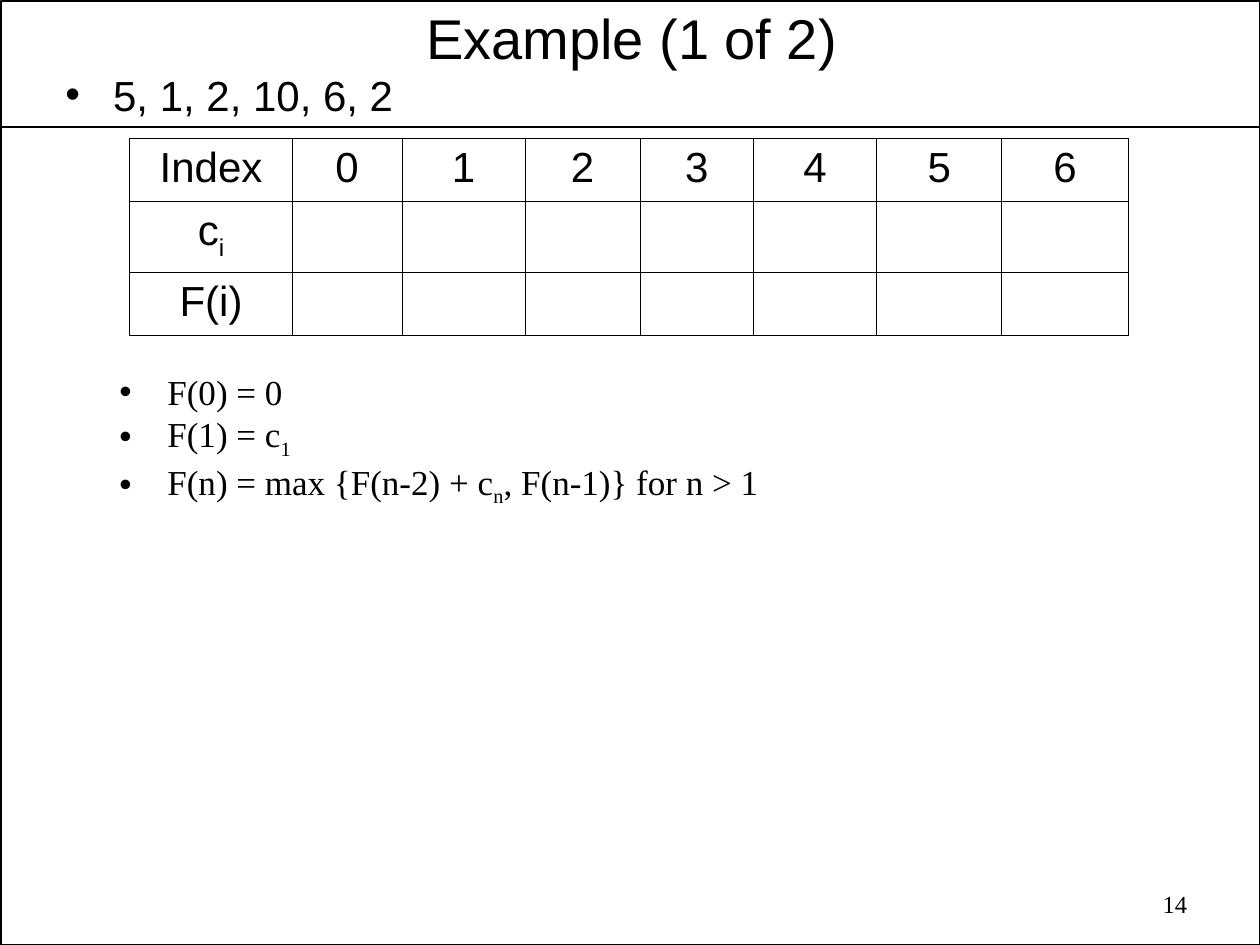
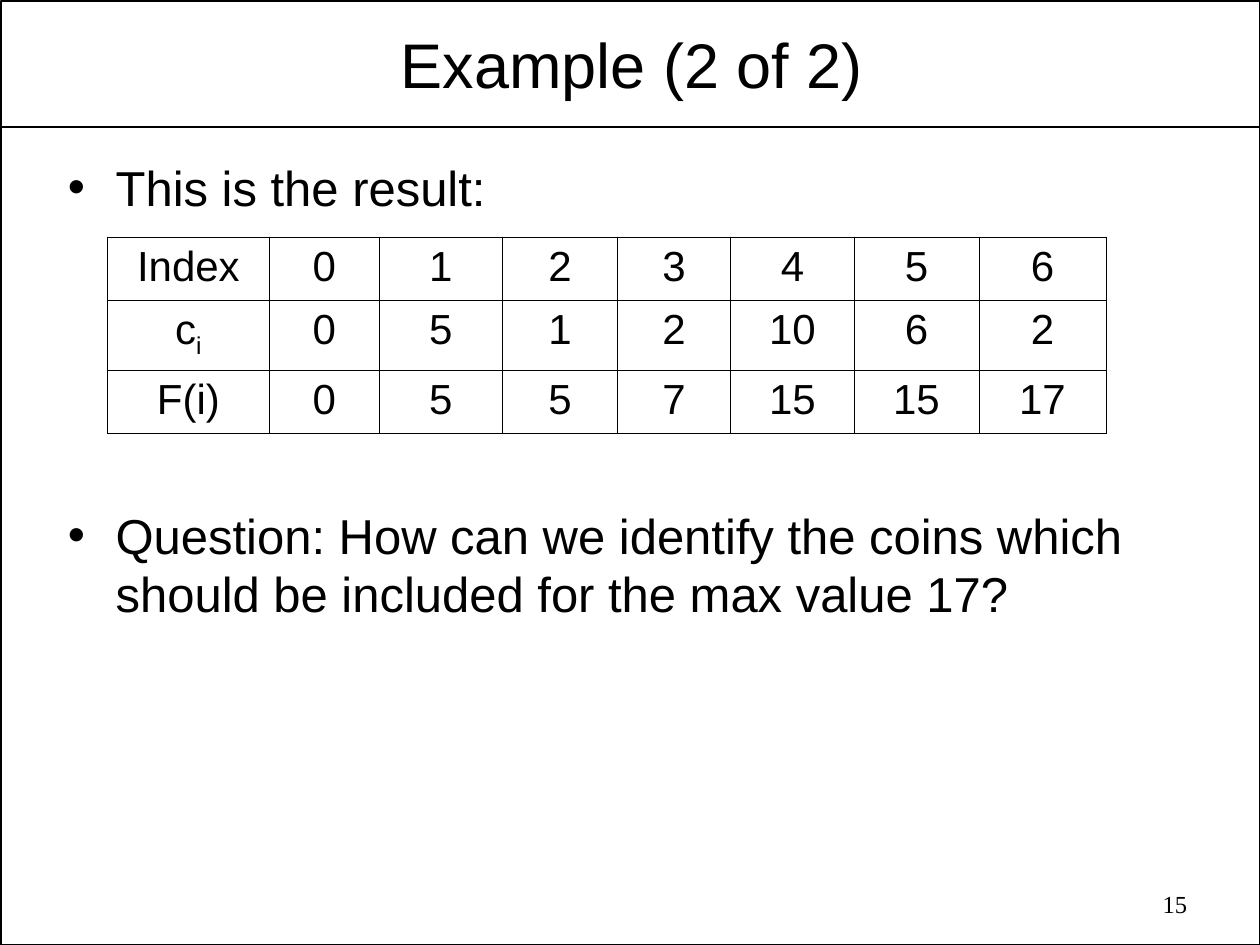
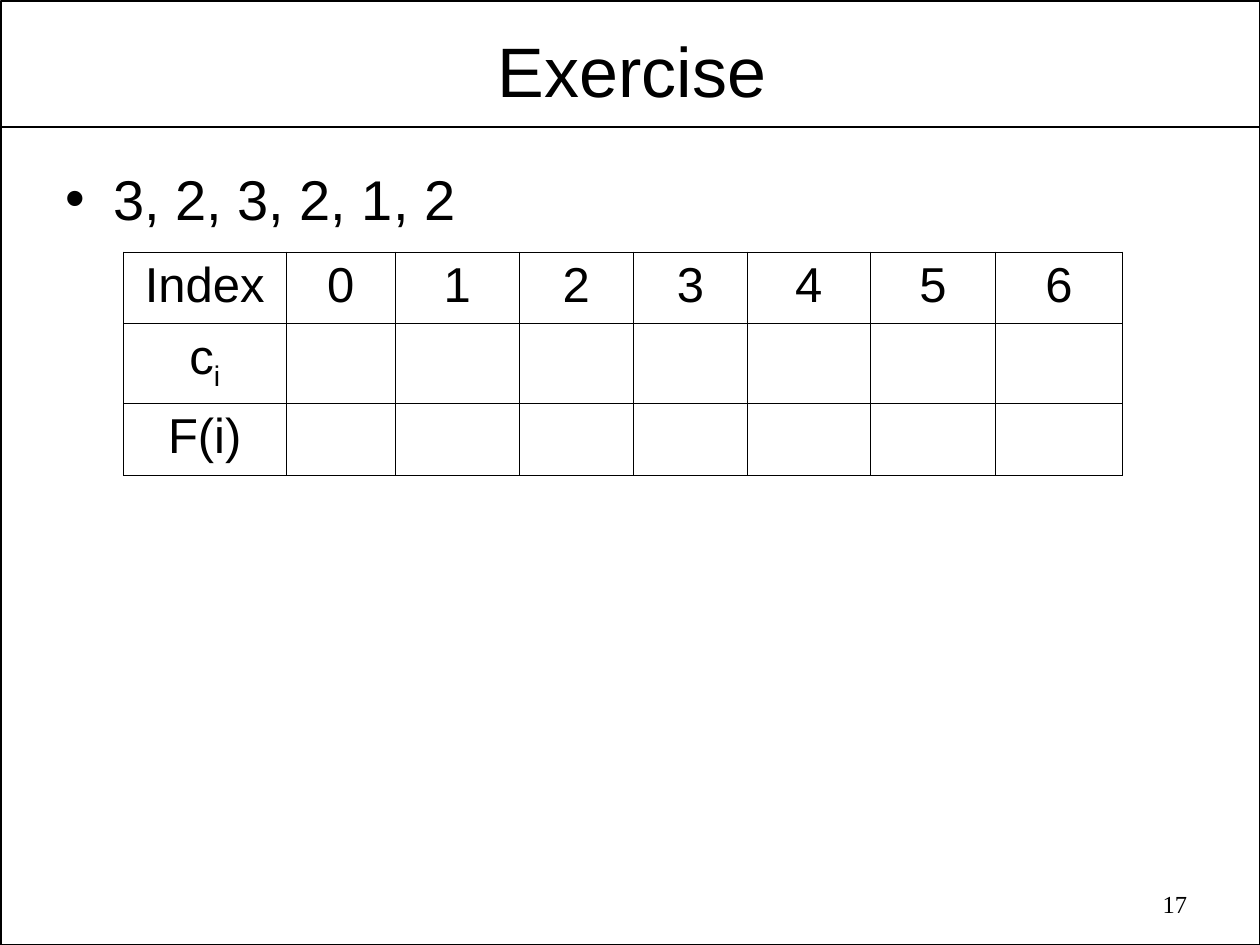
from lxml.etree import SubElement
from pptx import Presentation
from pptx.dml.color import RGBColor
from pptx.enum.shapes import MSO_CONNECTOR, MSO_SHAPE
from pptx.enum.text import PP_ALIGN
from pptx.oxml.ns import qn
from pptx.util import Inches, Pt

BLACK = "000000"
SANS, SERIF = "Arial", "Times New Roman"
HANGING = 0.38

# Table content; a tuple is a base followed by its subscript, then more text
COLUMNS = [1.29, 0.87, 0.98, 0.91, 0.9, 0.98, 0.99, 1.01]
INDEX = ["Index", "0", "1", "2", "3", "4", "5", "6"]
COIN, BEST = ("c", "i"), "F(i)"
EMPTY_TABLE = [INDEX, [COIN] + [""] * 7, [BEST] + [""] * 7]
RESULT_TABLE = [
    INDEX,
    [COIN, "0", "5", "1", "2", "10", "6", "2"],
    [BEST, "0", "5", "5", "7", "15", "15", "17"],
]
RECURRENCE = [
    "F(0) = 0",
    ("F(1) = c", "1"),
    ("F(n) = max {F(n-2) + c", "n", ", F(n-1)} for n > 1"),
]
QUESTION = ("Question: How can we identify the coins which should be "
            "included for the max value 17?")

# title: text, top, height, size; bullets: lines, place, size, font;
# table: cells, left, top, row heights, size
SLIDES = [
    {
        "title": ("Example (1 of 2)", 0, 0.6, 32),
        "number": "14",
        "bullets": [
            (["5, 1, 2, 10, 6, 2"], (0.42, 0.5, 3.16, 0.56), 24, SANS),
            (RECURRENCE, (0.85, 2.89, 6.33, 1.19), 20, SERIF),
        ],
        "table": (EMPTY_TABLE, 1.03, 1.1, (0.5, 0.56, 0.5), 24),
    },
    {
        "title": ("Example (2 of 2)", 0.17, 0.66, 36),
        "number": "15",
        "bullets": [
            (["This is the result:"], (0.44, 1.2, 8.35, 0.6), 28, SANS),
            ([QUESTION], (0.44, 3.96, 9.17, 1.14), 28, SANS),
        ],
        "table": (RESULT_TABLE, 0.85, 1.88, (0.5, 0.56, 0.5), 24),
    },
    {
        "title": ("Exercise", 0.19, 0.72, 40),
        "number": "17",
        "bullets": [
            (["3, 2, 3, 2, 1, 2"], (0.42, 1.26, 9.17, 0.74), 32, SANS),
        ],
        "table": (EMPTY_TABLE, 0.98, 2, (0.57, 0.63, 0.57), 28),
    },
]


def color(value):
    return RGBColor.from_string(value)


def write(para, content, size, font, align=PP_ALIGN.LEFT):
    """Fill a paragraph; every second part of a tuple is a subscript."""
    parts = (content,) if isinstance(content, str) else content
    para.alignment = align
    for position, part in enumerate(parts):
        span = para.add_run()
        span.text = part
        span.font.size = Pt(size)
        span.font.name = font
        span.font.color.rgb = color(BLACK)
        if position % 2:
            span.font._element.set("baseline", "-25000")


def add_bullet(para):
    properties = para._p.get_or_add_pPr()
    properties.set("marL", str(Inches(HANGING)))
    properties.set("indent", str(-Inches(HANGING)))
    bullet_color = SubElement(properties, qn("a:buClr"))
    SubElement(bullet_color, qn("a:srgbClr"), val=BLACK)
    SubElement(properties, qn("a:buFont"), typeface=SANS)
    SubElement(properties, qn("a:buChar"), char="•")


def add_text(page, lines, place, size, font, align=PP_ALIGN.LEFT,
             bullets=False, insets=(0.1, 0.05)):
    box = page.shapes.add_textbox(*map(Inches, place))
    frame = box.text_frame
    frame.word_wrap = True
    frame.margin_left = frame.margin_right = Inches(insets[0])
    frame.margin_top = frame.margin_bottom = Inches(insets[1])
    for position, line in enumerate(lines):
        para = frame.add_paragraph() if position else frame.paragraphs[0]
        if bullets:
            add_bullet(para)
        write(para, line, size, font, align)


def add_frame(page):
    """Slide border and the rule under the title."""
    border = page.shapes.add_shape(
        MSO_SHAPE.RECTANGLE, *map(Inches, (0.01, 0.01, 9.99, 7.49)))
    border.shadow.inherit = False
    border.fill.background()
    rule = page.shapes.add_connector(
        MSO_CONNECTOR.STRAIGHT, *map(Inches, (0.01, 1.01, 9.99, 1.01)))
    SubElement(rule._element.spPr, qn("a:effectLst"))
    for shape in (border, rule):
        shape.line.color.rgb = color(BLACK)
        shape.line.width = Pt(1)


def add_borders(cell):
    properties = cell._tc.get_or_add_tcPr()
    for side in ("a:lnL", "a:lnR", "a:lnT", "a:lnB"):
        line = SubElement(properties, qn(side), w=str(Pt(0.45)))
        fill = SubElement(line, qn("a:solidFill"))
        SubElement(fill, qn("a:srgbClr"), val=BLACK)


def add_grid(page, cells, left, top, heights, size):
    place = (left, top, sum(COLUMNS), sum(heights))
    table = page.shapes.add_table(
        len(cells), len(COLUMNS), *map(Inches, place)).table
    table.first_row = table.horz_banding = False
    for column, width in zip(table.columns, COLUMNS):
        column.width = Inches(width)
    for row, height, contents in zip(table.rows, heights, cells):
        row.height = Inches(height)
        for cell, content in zip(row.cells, contents):
            add_borders(cell)
            cell.fill.background()
            if content:
                write(cell.text_frame.paragraphs[0], content, size, SANS,
                      PP_ALIGN.CENTER)


def main():
    deck = Presentation()
    deck.slide_width, deck.slide_height = Inches(10), Inches(7.5)
    for content in SLIDES:
        page = deck.slides.add_slide(deck.slide_layouts[6])
        add_frame(page)
        title, top, height, size = content["title"]
        add_text(page, [title], (0.53, top, 8.97, height), size, SANS,
                 PP_ALIGN.CENTER, insets=(0.07, 0.03))
        add_text(page, [content["number"]], (7.18, 7.01, 2.34, 0.36), 14,
                 SERIF, PP_ALIGN.RIGHT)
        for lines, place, size, font in content["bullets"]:
            add_text(page, lines, place, size, font, bullets=True)
        add_grid(page, *content["table"])
    deck.save("out.pptx")


if __name__ == "__main__":
    main()
